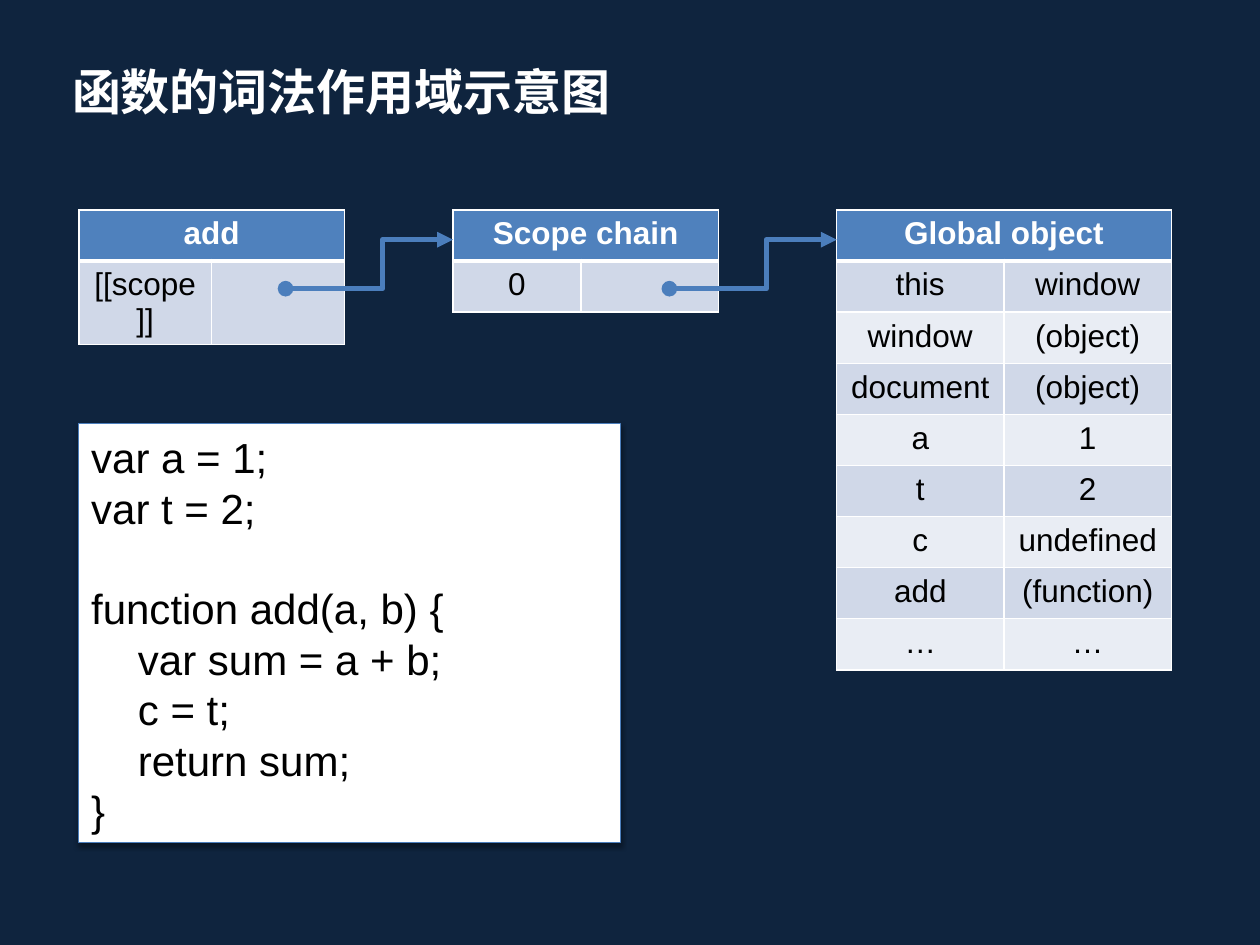
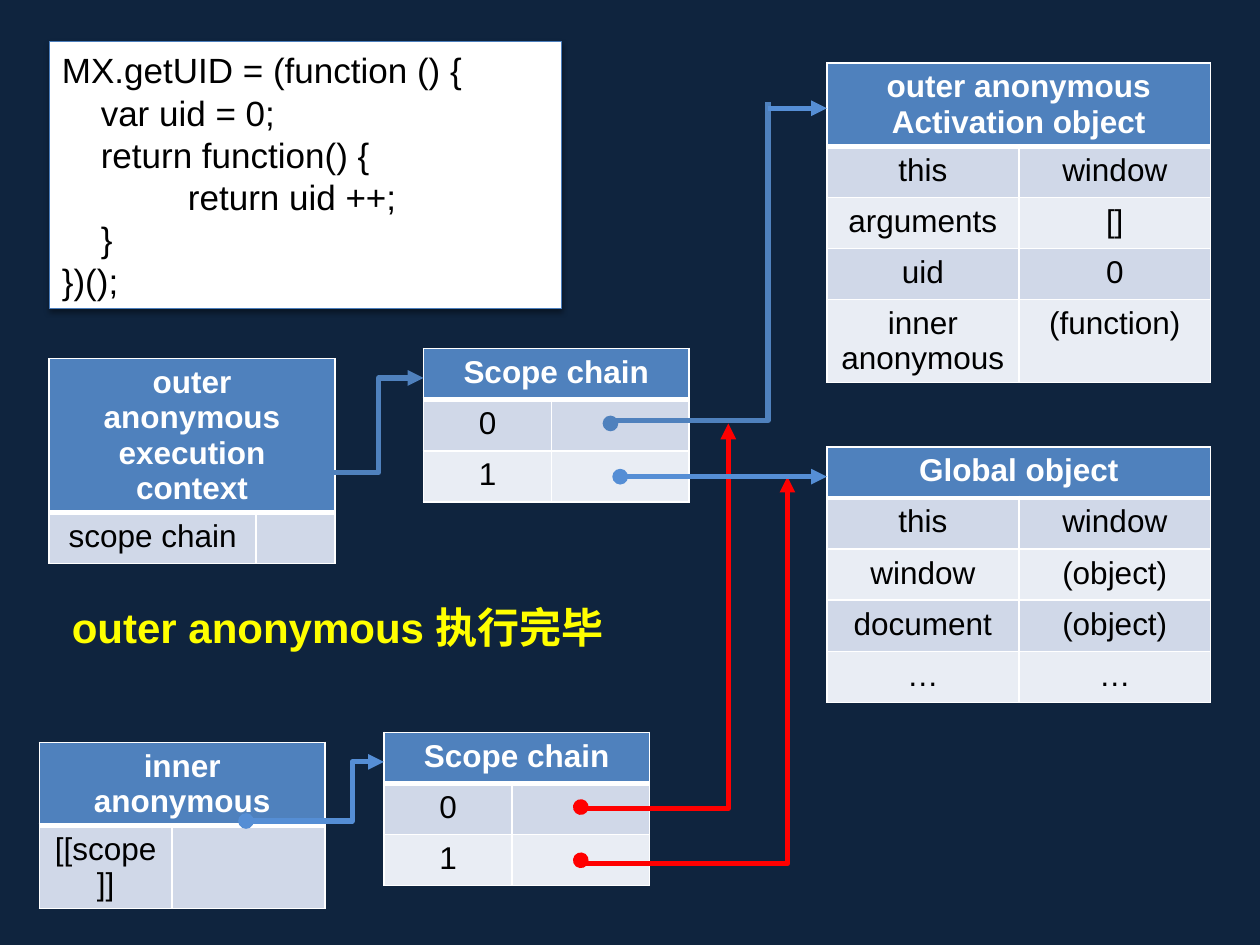
import dataclasses
import pptx
import pptx.dml.color
import pptx.enum.shapes
import pptx.enum.text
import pptx.oxml
import pptx.oxml.ns
import pptx.util

Pt = pptx.util.Pt
Link = pptx.enum.shapes.MSO_CONNECTOR
Align = pptx.enum.text.PP_ALIGN
Anchor = pptx.enum.text.MSO_ANCHOR


@dataclasses.dataclass(frozen=True)
class Theme:
    back: str = "0F243E"
    white: str = "FFFFFF"
    black: str = "000000"
    head: str = "4F81BD"
    bands: tuple = ("D0D8E8", "E9EDF4")
    edge: str = "4B7EBC"
    sky: str = "558ED5"
    red: str = "FF0000"
    note: str = "FFFF00"
    font: str = "Arial"
    face: str = "Calibri"
    title: float = 28
    body: float = 24
    small: float = 20
    cell: float = 18
    row: float = 29.2
    wire: float = 3


T = Theme()


def rgb(code):
    return pptx.dml.color.RGBColor.from_string(code)


def node(tag, inner="", **attrs):
    """Make one drawing element."""
    pairs = "".join(f' {key}="{val}"' for key, val in attrs.items())
    space = pptx.oxml.ns.nsdecls("a")
    return pptx.oxml.parse_xml(f"<a:{tag} {space}{pairs}>{inner}</a:{tag}>")


def paint(fill, code):
    fill.solid()
    fill.fore_color.rgb = rgb(code)


def write(para, text, size, code, bold=False, font=T.font):
    run = para.add_run()
    run.text = text
    run.font.size = Pt(size)
    run.font.name = font
    run.font.bold = bold
    run.font.color.rgb = rgb(code)


def paras(frame, count):
    """Yield the first paragraph, then new ones."""
    yield frame.paragraphs[0]
    for _ in range(count - 1):
        yield frame.add_paragraph()


# Text
def title(slide, text):
    shape = slide.shapes.title
    shape.left, shape.top = Pt(34), Pt(31.8)
    shape.width, shape.height = Pt(326.2), Pt(41)
    frame = shape.text_frame
    frame.auto_size = pptx.enum.text.MSO_AUTO_SIZE.NONE
    frame.vertical_anchor = Anchor.TOP
    frame.paragraphs[0].alignment = Align.LEFT
    write(frame.paragraphs[0], text, T.title, T.white, True, T.face)


def label(slide, box, text):
    frame = slide.shapes.add_textbox(*map(Pt, box)).text_frame
    frame.word_wrap = True
    write(frame.paragraphs[0], text, T.body, T.note, True)


def code(slide, box, size, lines):
    """White panel; each line is (indent, lines skipped above, text)."""
    shape = slide.shapes.add_shape(
        pptx.enum.shapes.MSO_SHAPE.RECTANGLE, *map(Pt, box))
    paint(shape.fill, T.white)
    shape.line.color.rgb = rgb(T.edge)
    shape.line.width = Pt(0.75)
    shape.shadow.inherit = False
    glow = shape.element.spPr.find(pptx.oxml.ns.qn("a:effectLst"))
    tint = f'<a:srgbClr val="{T.black}"><a:alpha val="38000"/></a:srgbClr>'
    glow.append(node("outerShdw", tint, blurRad=Pt(3.1), dist=Pt(1.6),
                     dir=5400000, rotWithShape=0))
    frame = shape.text_frame
    frame.word_wrap = True
    frame.vertical_anchor = Anchor.MIDDLE
    pitch = size * 1.2
    for para, (indent, skip, text) in zip(paras(frame, len(lines)), lines):
        para.alignment = Align.LEFT
        para.line_spacing = Pt(pitch)
        para.space_before = Pt(skip * pitch)
        props = para._p.get_or_add_pPr()
        props.set("marL", str(Pt(indent)))
        props.set("indent", "0")
        write(para, text, size, T.black)


# Tables
def cell(item, text, row):
    props = item._tc.get_or_add_tcPr()
    for side in "LRTB":
        thick = (row, side) in ((0, "B"), (1, "T"))
        ink = f'<a:solidFill><a:srgbClr val="{T.white}"/></a:solidFill>'
        props.append(node("ln" + side, ink, w=Pt(3 if thick else 1)))
    head = row == 0
    paint(item.fill, T.head if head else T.bands[(row - 1) % 2])
    parts = text.split("\n") if text else []
    for para, part in zip(paras(item.text_frame, len(parts)), parts):
        para.alignment = Align.CENTER
        write(para, part, T.cell, T.white if head else T.black, head)


def grid(slide, left, top, cols, head, rows):
    """Two-column table under one merged heading."""
    data = [(head, "")] + rows
    shape = slide.shapes.add_table(
        len(data), len(cols), Pt(left), Pt(top),
        Pt(sum(cols)), Pt(T.row * len(data)))
    table = shape.table
    for col, width in zip(table.columns, cols):
        col.width = Pt(width)
    for row, texts in enumerate(data):
        table.rows[row].height = Pt(T.row)
        for col, text in enumerate(texts):
            cell(table.cell(row, col), text, row)
    table.cell(0, 0).merge(table.cell(0, 1))


def chain(slide, left, top, count):
    rows = [(str(num), "") for num in range(count)]
    grid(slide, left, top, (73.2, 78.6), "Scope chain", rows)


# Lines
def wire(slide, start, end, color, bend=None, turn=False,
         dot=True, arrow=True):
    """Line that bends at a share of its run; turn starts it vertically."""
    (x1, y1), (x2, y2) = start, end
    if turn:
        # Box before a quarter turn about its centre
        midx, midy = (x1 + x2) / 2, (y1 + y2) / 2
        half, rise = abs(y2 - y1) / 2, abs(x2 - x1) / 2
        x1, y1, x2, y2 = midx + half, midy + rise, midx - half, midy - rise
    kind = Link.STRAIGHT if bend is None else Link.ELBOW
    line = slide.shapes.add_connector(kind, *map(Pt, (x1, y1, x2, y2)))
    line.line.color.rgb = rgb(color)
    line.line.width = Pt(T.wire)
    props = line.element.spPr
    if turn:
        props.xfrm.set("rot", "5400000")
    if bend is not None:
        geom = props.find(pptx.oxml.ns.qn("a:prstGeom"))
        for old in list(geom):
            geom.remove(old)
        rule = f'<a:gd name="adj1" fmla="val {round(bend * 100000)}"/>'
        geom.append(node("avLst", rule))
    stroke = line.line._get_or_add_ln()
    if dot:
        stroke.append(node("headEnd", type="oval"))
    if arrow:
        stroke.append(node("tailEnd", type="triangle"))
    props.append(node("effectLst"))


# Slides
SCOPE = ("[[scope]]", "")
WINDOW = [("this", "window"), ("window", "(object)"),
          ("document", "(object)")]
REST = [("…", "…")]


def lexical(deck):
    slide = deck.slides.add_slide(deck.slide_layouts[5])
    title(slide, "函数的词法作用域示意图")
    top = 120
    grid(slide, 45, top, (75.9, 75.9), "add", [SCOPE])
    chain(slide, 258.8, top, 1)
    names = [("a", "1"), ("t", "2"), ("c", "undefined"),
             ("add", "(function)")]
    grid(slide, 478, top, (95.7, 95.7), "Global object",
         WINDOW + names + REST)
    for left in (163.2, 382.5):
        wire(slide, (left, 165), (left + 95.6, 137), T.edge, 0.58)
    tab = 26.7
    code(slide, (45, 242.2, 309.4, 239.4), T.body, [
        (0, 0, "var a = 1;"),
        (0, 0, "var t = 2;"),
        (0, 1, "function add(a, b) {"),
        (tab, 0, "var sum = a + b;"),
        (tab, 0, "c = t;"),
        (tab, 0, "return sum;"),
        (0, 0, "}")])


def closure(deck):
    slide = deck.slides.add_slide(deck.slide_layouts[6])
    tab = 22.2
    code(slide, (28.3, 23.7, 292.4, 152.6), T.small, [
        (0, 0, "MX.getUID = (function () {"),
        (tab, 0, "var uid = 0;"),
        (tab, 0, "return function() {"),
        (72, 0, "return uid ++;"),
        (tab, 0, "}"),
        (0, 0, "})();")])
    # Contexts and their scope chains
    grid(slide, 28.1, 205, (118.3, 45), "outer anonymous\nexecution context",
         [("scope chain", "")])
    chain(slide, 242, 199.2, 2)
    grid(slide, 22.5, 424.2, (75.8, 87.5), "inner anonymous", [SCOPE])
    chain(slide, 219.4, 418.5, 2)
    # Objects
    right, cols = 472.5, (109.7, 109.7)
    grid(slide, right, 36, cols, "outer anonymous\nActivation object",
         [("this", "window"), ("arguments", "[]"), ("uid", "0"),
          ("inner\nanonymous", "(function)")])
    grid(slide, right, 255.4, cols, "Global object", WINDOW + REST)
    # Links
    wire(slide, (168.7, 270), (242, 216), T.head, 0.65)
    wire(slide, (140.6, 469.2), (219.4, 435.4), T.sky, 0.77)
    wire(slide, (331.9, 461.2), (416.2, 242), T.red, -0.003, True)
    wire(slide, (331.9, 491.6), (450, 272.4), T.red, -0.009, True)
    wire(slide, (354.4, 272.4), (right, 272.4), T.sky)
    wire(slide, (348.8, 242), (438.8, 58.5), T.head, 0.009, True,
         arrow=False)
    wire(slide, (438.8, 61.9), (right, 61.9), T.sky, dot=False)
    label(slide, (34, 340, 337.5, 36.4), "outer anonymous 执行完毕")


def main():
    deck = pptx.Presentation()
    deck.slide_width, deck.slide_height = Pt(720), Pt(540)
    paint(deck.slide_master.background.fill, T.back)
    lexical(deck)
    closure(deck)
    deck.save("out.pptx")


main()
